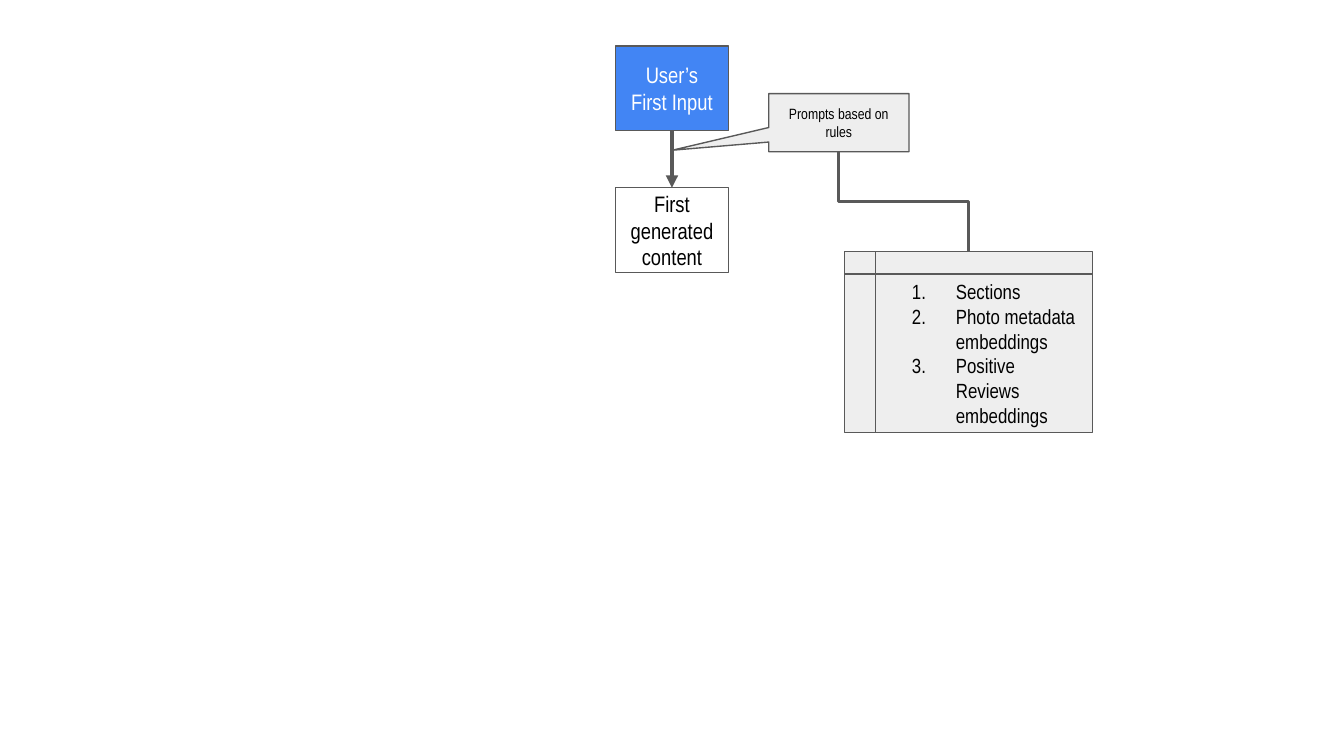
from lxml import etree
from pptx import Presentation
from pptx.dml.color import RGBColor
from pptx.enum.shapes import MSO_CONNECTOR, MSO_SHAPE
from pptx.enum.text import MSO_ANCHOR, PP_ALIGN
from pptx.oxml.ns import qn
from pptx.util import Cm, Pt

RECT = MSO_SHAPE.RECTANGLE
CALLOUT = MSO_SHAPE.ROUNDED_RECTANGULAR_CALLOUT
STORAGE = MSO_SHAPE.FLOWCHART_INTERNAL_STORAGE
STRAIGHT, ELBOW = MSO_CONNECTOR.STRAIGHT, MSO_CONNECTOR.ELBOW
CENTER, LEFT = PP_ALIGN.CENTER, PP_ALIGN.LEFT
MIDDLE = MSO_ANCHOR.MIDDLE

FONT = "Arial Narrow"
BLUE, WHITE, BLACK = "4285F4", "FFFFFF", "000000"
LIGHT, DARK = "EEEEEE", "595959"
TOP, BOTTOM = 0, 2  # connection sites

BOX_W, BOX_H = 2.14, 1.6
BOX_X = 12.7 - BOX_W / 2


def rgb(value):
    return RGBColor.from_string(value)


def add_number(p):
    """Make the paragraph an item of a numbered list."""
    pPr = p._p.get_or_add_pPr()
    pPr.set("marL", str(Cm(1.27)))
    pPr.set("indent", str(-Cm(0.83)))
    color = etree.SubElement(pPr, qn("a:buClr"))
    etree.SubElement(color, qn("a:srgbClr"), val=BLACK)
    etree.SubElement(pPr, qn("a:buFont"), typeface=FONT)
    etree.SubElement(pPr, qn("a:buAutoNum"), type="arabicPeriod")


def add_node(s, kind, box, fill, lines, size, color=BLACK, numbered=False):
    sp = s.shapes.add_shape(kind, *map(Cm, box))
    sp.shadow.inherit = False
    sp.fill.solid()
    sp.fill.fore_color.rgb = rgb(fill)
    sp.line.color.rgb = rgb(DARK)
    sp.line.width = Pt(0.75)
    tf = sp.text_frame
    frame = {"word_wrap": True, "vertical_anchor": MIDDLE}
    frame.update({f"margin_{side}": Cm(0.25)
                  for side in ("left", "top", "right", "bottom")})
    for name, value in frame.items():
        setattr(tf, name, value)
    for i, line in enumerate(lines):
        p = tf.paragraphs[0] if i == 0 else tf.add_paragraph()
        p.alignment = LEFT if numbered else CENTER
        if numbered:
            add_number(p)
        r = p.add_run()
        r.text = line
        for name, value in {"name": FONT, "size": Pt(size)}.items():
            setattr(r.font, name, value)
        r.font.color.rgb = rgb(color)
    return sp


def add_link(s, kind, start, end, width):
    """Join the bottom of one node to the top of another."""
    link = s.shapes.add_connector(kind, 0, 0, 0, 0)
    link.begin_connect(start, BOTTOM)
    link.end_connect(end, TOP)
    link.line.color.rgb = rgb(DARK)
    link.line.width = Pt(width)
    etree.SubElement(link._element.spPr, qn("a:effectLst"))
    return link


def add_arrowhead(link):
    etree.SubElement(link.line._get_or_add_ln(), qn("a:tailEnd"), type="triangle")


def leave_downwards(link):
    """Turn an elbow so that its first and last legs are vertical."""
    left, top, width, height = link.left, link.top, link.width, link.height
    link.left = left + (width - height) // 2
    link.top = top + (height - width) // 2
    link.width, link.height = height, width
    xfrm = link._element.spPr.find(qn("a:xfrm"))
    xfrm.set("rot", str(270 * 60000))
    xfrm.set("flipH", "1")


def main():
    prs = Presentation()
    prs.slide_width, prs.slide_height = Cm(25.4), Cm(14.29)
    s = prs.slides.add_slide(prs.slide_layouts[6])

    user_input = add_node(s, RECT, (BOX_X, 0.87, BOX_W, BOX_H), BLUE,
                          ["User’s First Input"], 12, WHITE)
    content = add_node(s, RECT, (BOX_X, 3.55, BOX_W, BOX_H), WHITE,
                       ["First generated content"], 12)
    add_arrowhead(add_link(s, STRAIGHT, user_input, content, 2.25))

    prompts = add_node(s, CALLOUT, (14.53, 1.77, 2.65, 1.1), LIGHT,
                       ["Prompts based on rules"], 8)
    for i, value in enumerate((-1.187, 0.473, 0)):
        prompts.adjustments[i] = value

    sources = ["Sections", "Photo metadata embeddings",
               "Positive Reviews embeddings"]
    rules = add_node(s, STORAGE, (15.96, 4.75, 4.69, 3.43), LIGHT,
                     sources, 11, numbered=True)
    leave_downwards(add_link(s, ELBOW, prompts, rules, 1.5))

    prs.save("out.pptx")


if __name__ == "__main__":
    main()
